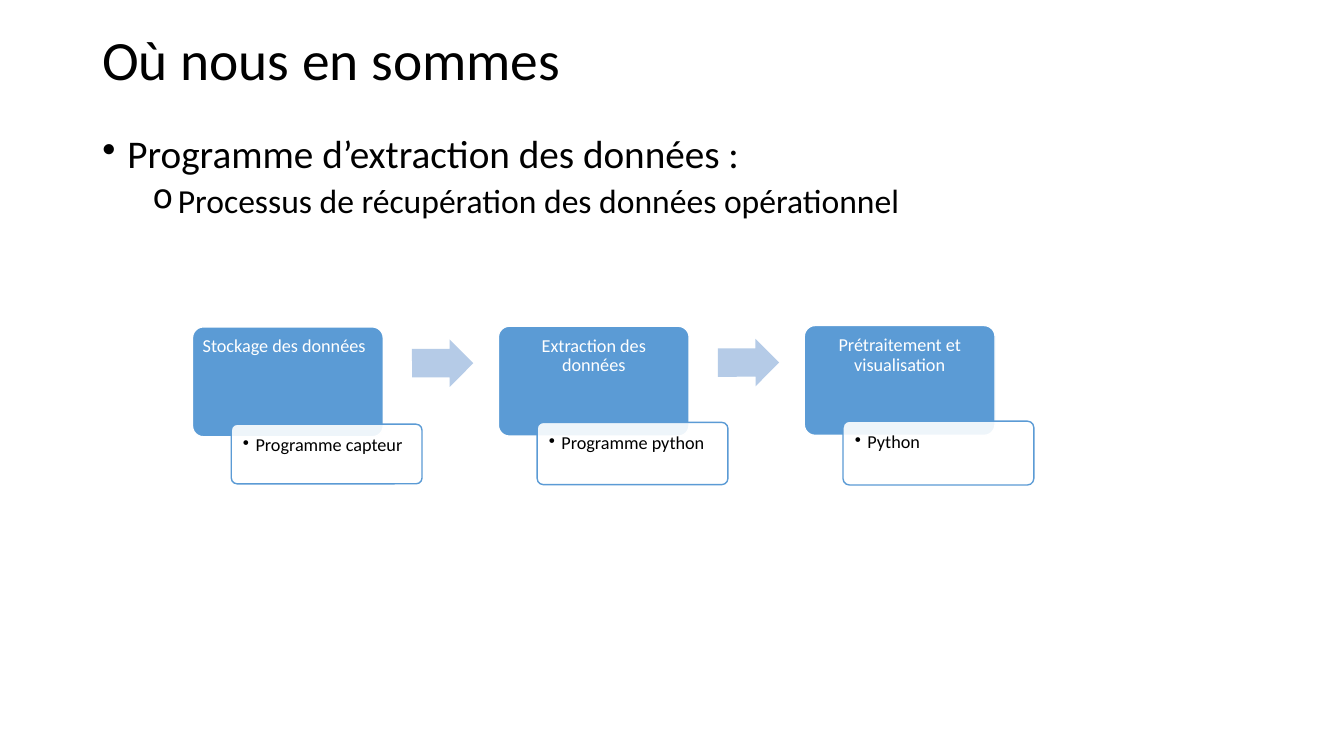
from dataclasses import dataclass

import pptx
import pptx.dml.color
import pptx.enum.shapes
import pptx.enum.text
import pptx.oxml.ns
import pptx.util
from lxml import etree

Pt = pptx.util.Pt
Align = pptx.enum.text.PP_ALIGN
Anchor = pptx.enum.text.MSO_ANCHOR
Shape = pptx.enum.shapes.MSO_SHAPE
qn = pptx.oxml.ns.qn

BLACK, WHITE, BLUE, PALE_BLUE = "000000", "FFFFFF", "5B9BD5", "B5CBE7"
STEP_LEFT, STEP_PITCH = 137.5, 218.5
BOX_WIDTH = 136.3


@dataclass
class Step:
    heading: str
    detail: str
    align: Align
    top: float
    detail_top: float
    detail_height: float


@dataclass
class Line:
    text: str
    size: float
    color: str = BLACK
    align: Align = Align.LEFT
    bullet: str = ""
    margin: float = 0
    hanging: float = 0
    space_before: float = 0
    level: int = 0


STEPS = [
    Step("Stockage des données", "Programme capteur", Align.LEFT, 233.5, 303, 42.6),
    Step("Extraction des données", "Programme python", Align.CENTER, 233, 301.7, 44.5),
    Step("Prétraitement et visualisation", "Python", Align.CENTER, 232.5, 300.8, 45.6),
]


def rgb(value: str) -> pptx.dml.color.RGBColor:
    return pptx.dml.color.RGBColor.from_string(value)


def write(box, lines: list[Line], anchor: Anchor, insets: tuple) -> None:
    """Fill a shape with formatted paragraphs."""
    frame = box.text_frame
    frame.word_wrap = True
    frame.vertical_anchor = anchor
    frame.margin_left, frame.margin_top, frame.margin_right, frame.margin_bottom = map(Pt, insets)
    for index, line in enumerate(lines):
        para = frame.add_paragraph() if index else frame.paragraphs[0]
        para.text = line.text
        para.level = line.level
        para.alignment = line.align
        para.line_spacing = 0.9
        para.space_before = Pt(line.space_before)
        if line.bullet:
            properties = para._p.get_or_add_pPr()
            properties.set("marL", str(Pt(line.margin)))
            properties.set("indent", str(-Pt(line.hanging)))
            etree.SubElement(properties, qn("a:buChar"), char=line.bullet)
        para.font.name = "Calibri"
        para.font.size = Pt(line.size)
        para.font.color.rgb = rgb(line.color)


def add_text(page, left: float, top: float, width: float, height: float,
             lines: list[Line], anchor: Anchor) -> None:
    box = page.shapes.add_textbox(Pt(left), Pt(top), Pt(width), Pt(height))
    write(box, lines, anchor, (7.2, 3.6, 7.2, 3.6))


def add_shape(page, kind: Shape, left: float, top: float, width: float, height: float,
              fill: str, line: str = "", adjustments: tuple = (0.1,)):
    box = page.shapes.add_shape(kind, Pt(left), Pt(top), Pt(width), Pt(height))
    box.shadow.inherit = False
    for index, value in enumerate(adjustments):
        box.adjustments[index] = value
    box.fill.solid()
    box.fill.fore_color.rgb = rgb(fill)
    if line:
        box.line.color.rgb = rgb(line)
        box.line.width = Pt(1)
    else:
        box.line.fill.background()
    return box


def add_step(page, step: Step, left: float) -> None:
    heading = add_shape(page, Shape.ROUNDED_RECTANGLE, left, step.top,
                        BOX_WIDTH, 78.5, BLUE, WHITE)
    write(heading, [Line(step.heading, 13, WHITE, step.align)], Anchor.TOP, (5, 5, 5, 3.6))

    detail = add_shape(page, Shape.ROUNDED_RECTANGLE, left + 27.7, step.detail_top,
                       BOX_WIDTH, step.detail_height, WHITE, BLUE)
    color = detail.fill._xPr.find(qn("a:solidFill"))[0]
    etree.SubElement(color, qn("a:alpha"), val="90000")
    write(detail, [Line(step.detail, 13, bullet="•", margin=9, hanging=9)],
          Anchor.TOP, (7.2, 7.2, 7.2, 7.2))


def main() -> None:
    deck = pptx.Presentation()
    deck.slide_width, deck.slide_height = Pt(960), Pt(540)
    page = deck.slides.add_slide(deck.slide_layouts[6])

    # Title and bullet points
    add_text(page, 66, 28.8, 828, 32.4, [Line("Où nous en sommes", 39.6)], Anchor.MIDDLE)
    add_text(page, 66, 92.9, 828, 393.8, [
        Line("Programme d’extraction des données :", 28, bullet="•",
             margin=18, hanging=18, space_before=10),
        Line("Processus de récupération des données opérationnel", 24, bullet="o",
             margin=54, hanging=18, space_before=5, level=1),
    ], Anchor.TOP)

    # Process steps, with an arrow between neighbours
    for index, step in enumerate(STEPS):
        left = STEP_LEFT + index * STEP_PITCH
        add_step(page, step, left)
        if step is not STEPS[-1]:
            arrow = add_shape(page, Shape.RIGHT_ARROW, left + 156.8, step.top + 9,
                              43.8, 33.9, PALE_BLUE, adjustments=(0.6, 0.5))
            arrow.rotation = 359.9

    deck.save("out.pptx")


if __name__ == "__main__":
    main()
